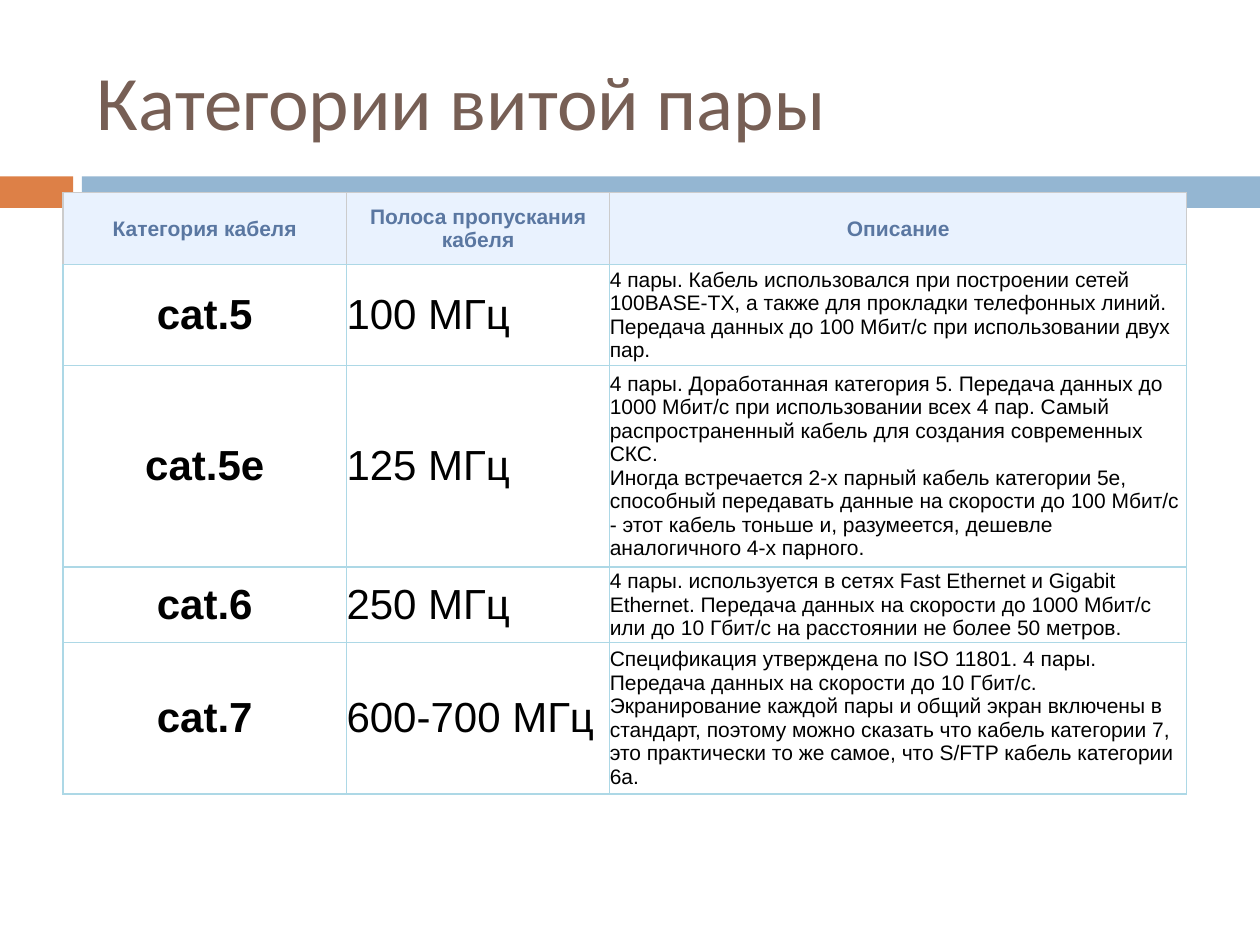
from copy import deepcopy
from dataclasses import dataclass

from lxml.etree import SubElement
from pptx import Presentation
from pptx.dml.color import RGBColor
from pptx.enum.shapes import MSO_SHAPE
from pptx.enum.text import MSO_ANCHOR, PP_ALIGN
from pptx.oxml.ns import qn
from pptx.util import Inches, Pt


@dataclass(frozen=True)
class Theme:
    accent: str = "DD8047"
    band: str = "94B6D2"
    title: str = "775F55"
    header_text: str = "5A77A1"
    header_fill: str = "E9F2FE"
    header_border: str = "CCCCCC"
    body_text: str = "000000"
    body_fill: str = "FFFFFF"
    body_border: str = "ADD8E6"
    title_font: str = "Calibri"
    table_font: str = "Arial"
    title_size: int = 44
    value_size: int = 24
    small_size: int = 12
    border_width: float = 0.75


THEME = Theme()
SLIDE_WIDTH, SLIDE_HEIGHT = 10, 7.5
BAND_TOP, BAND_HEIGHT = 1.4, 0.25
ACCENT_WIDTH, BAND_LEFT = 0.58, 0.65
TABLE_LEFT, TABLE_TOP = 0.5, 1.53
COLUMN_WIDTHS = [2.25, 2.09, 4.58]
ROW_HEIGHTS = [0.57, 0.76, 1.51, 0.57, 1.14]

HEADERS = ["Категория кабеля", "Полоса пропускания кабеля", "Описание"]
CATEGORIES = [
    ("cat.5", "100 МГц",
     "4 пары. Кабель использовался при построении сетей 100BASE-TX, а также для "
     "прокладки телефонных линий. Передача данных до 100 Мбит/с при использовании "
     "двух пар."),
    ("cat.5e", "125 МГц",
     "4 пары. Доработанная категория 5. Передача данных до 1000 Мбит/с при "
     "использовании всех 4 пар. Самый распространенный кабель для создания "
     "современных СКС.\n"
     "Иногда встречается 2-х парный кабель категории 5e, способный передавать "
     "данные на скорости до 100 Мбит/с - этот кабель тоньше и, разумеется, дешевле "
     "аналогичного 4-х парного."),
    ("cat.6", "250 МГц",
     "4 пары. используется в сетях Fast Ethernet и Gigabit Ethernet. Передача данных "
     "на скорости до 1000 Мбит/с или до 10 Гбит/с на расстоянии не более 50 метров."),
    ("cat.7", "600-700 МГц",
     "Спецификация утверждена по ISO 11801. 4 пары. Передача данных на скорости до "
     "10 Гбит/с. Экранирование каждой пары и общий экран включены в стандарт, поэтому "
     "можно сказать что кабель категории 7, это практически то же самое, что S/FTP "
     "кабель категории 6a."),
]


def write_text(text_frame, text, *, font, size, color, bold=False, align=PP_ALIGN.LEFT):
    """Fill the first paragraph; a newline becomes a line break of the same size."""
    text_frame.word_wrap = True
    paragraph = text_frame.paragraphs[0]
    paragraph.text = text
    paragraph.alignment = align
    for run in paragraph.runs:
        run.font.name = font
        run.font.size = Pt(size)
        run.font.bold = bold
        run.font.color.rgb = RGBColor.from_string(color)
    for line_break in paragraph._p.findall(qn("a:br")):
        line_break.append(deepcopy(paragraph.runs[0]._r.rPr))


def add_bar(slide, left, width, color):
    bar = slide.shapes.add_shape(
        MSO_SHAPE.RECTANGLE, Inches(left), Inches(BAND_TOP), Inches(width), Inches(BAND_HEIGHT))
    bar.shadow.inherit = False
    bar.fill.solid()
    bar.fill.fore_color.rgb = RGBColor.from_string(color)
    bar.line.fill.background()


def add_title(slide, text):
    title = slide.shapes.add_textbox(Inches(0.67), Inches(0.25), Inches(8.92), Inches(1.08))
    title.text_frame.vertical_anchor = MSO_ANCHOR.MIDDLE
    write_text(title.text_frame, text, font=THEME.title_font, size=THEME.title_size,
               color=THEME.title)


def set_borders(cell, side_color, bottom_color):
    """Draw the four sides; they must precede the fill in the cell properties."""
    properties = cell._tc.get_or_add_tcPr()
    for side in ("lnL", "lnR", "lnT", "lnB"):
        line = SubElement(properties, qn(f"a:{side}"), w=str(Pt(THEME.border_width)))
        fill = SubElement(line, qn("a:solidFill"))
        color = bottom_color if side == "lnB" else side_color
        SubElement(fill, qn("a:srgbClr"), val=color)


def fill_cell(cell, text, *, fill, border, **text_format):
    cell.margin_left = cell.margin_right = cell.margin_top = cell.margin_bottom = 0
    cell.vertical_anchor = MSO_ANCHOR.MIDDLE
    set_borders(cell, border, THEME.body_border)
    cell.fill.solid()
    cell.fill.fore_color.rgb = RGBColor.from_string(fill)
    write_text(cell.text_frame, text, font=THEME.table_font, **text_format)


def add_category_table(slide):
    table = slide.shapes.add_table(
        len(ROW_HEIGHTS), len(COLUMN_WIDTHS), Inches(TABLE_LEFT), Inches(TABLE_TOP),
        Inches(sum(COLUMN_WIDTHS)), Inches(sum(ROW_HEIGHTS))).table
    table.horz_banding = False
    for column, width in zip(table.columns, COLUMN_WIDTHS):
        column.width = Inches(width)
    for row, height in zip(table.rows, ROW_HEIGHTS):
        row.height = Inches(height)

    for column, header in enumerate(HEADERS):
        fill_cell(table.cell(0, column), header, fill=THEME.header_fill,
                  border=THEME.header_border, size=THEME.small_size,
                  color=THEME.header_text, bold=True, align=PP_ALIGN.CENTER)

    column_formats = [
        {"size": THEME.value_size, "bold": True, "align": PP_ALIGN.CENTER},
        {"size": THEME.value_size},
        {"size": THEME.small_size},
    ]
    for row, category in enumerate(CATEGORIES, start=1):
        for column, (text, text_format) in enumerate(zip(category, column_formats)):
            border = THEME.header_border if row == 0 else THEME.body_border
            fill_cell(table.cell(row, column), text, fill=THEME.body_fill,
                      border=border, color=THEME.body_text, **text_format)


def main():
    presentation = Presentation()
    presentation.slide_width = Inches(SLIDE_WIDTH)
    presentation.slide_height = Inches(SLIDE_HEIGHT)
    slide = presentation.slides.add_slide(presentation.slide_layouts[6])
    add_bar(slide, 0, ACCENT_WIDTH, THEME.accent)
    add_bar(slide, BAND_LEFT, SLIDE_WIDTH - BAND_LEFT, THEME.band)
    add_title(slide, "Категории витой пары")
    add_category_table(slide)
    presentation.save("out.pptx")


if __name__ == "__main__":
    main()
